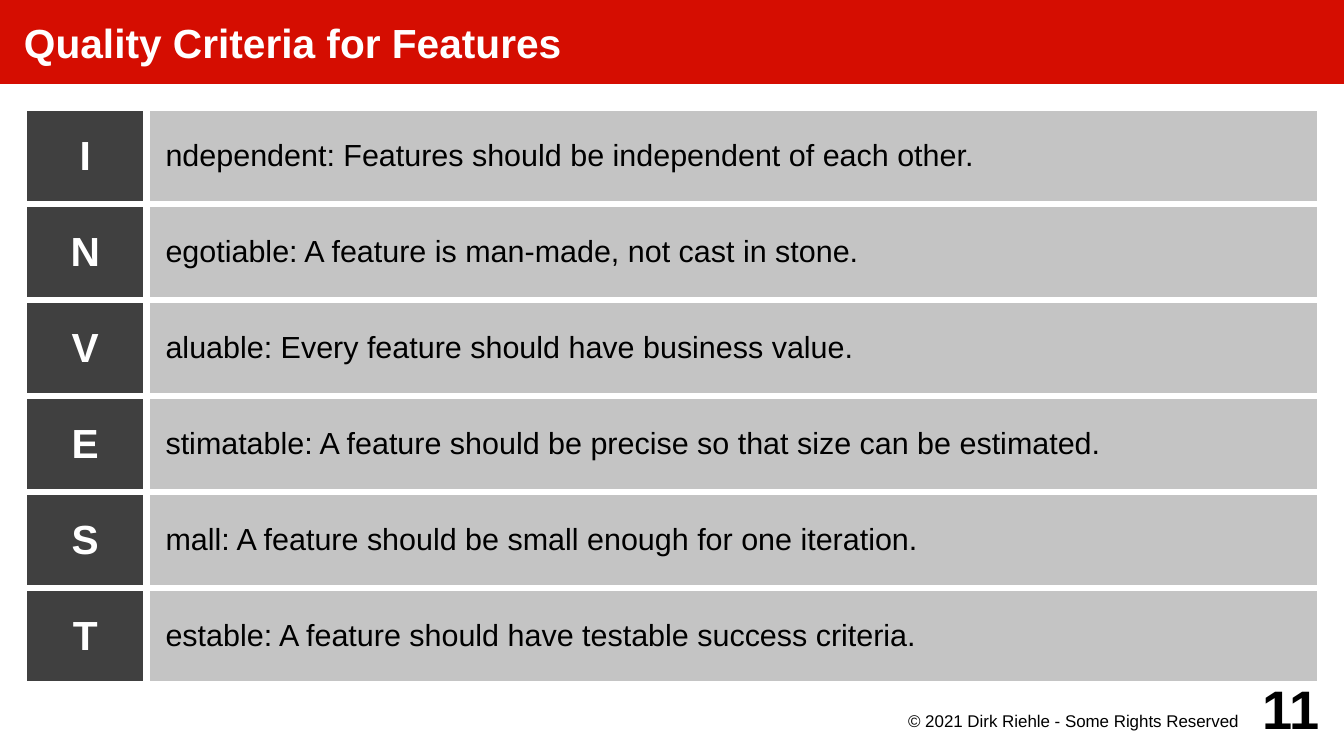
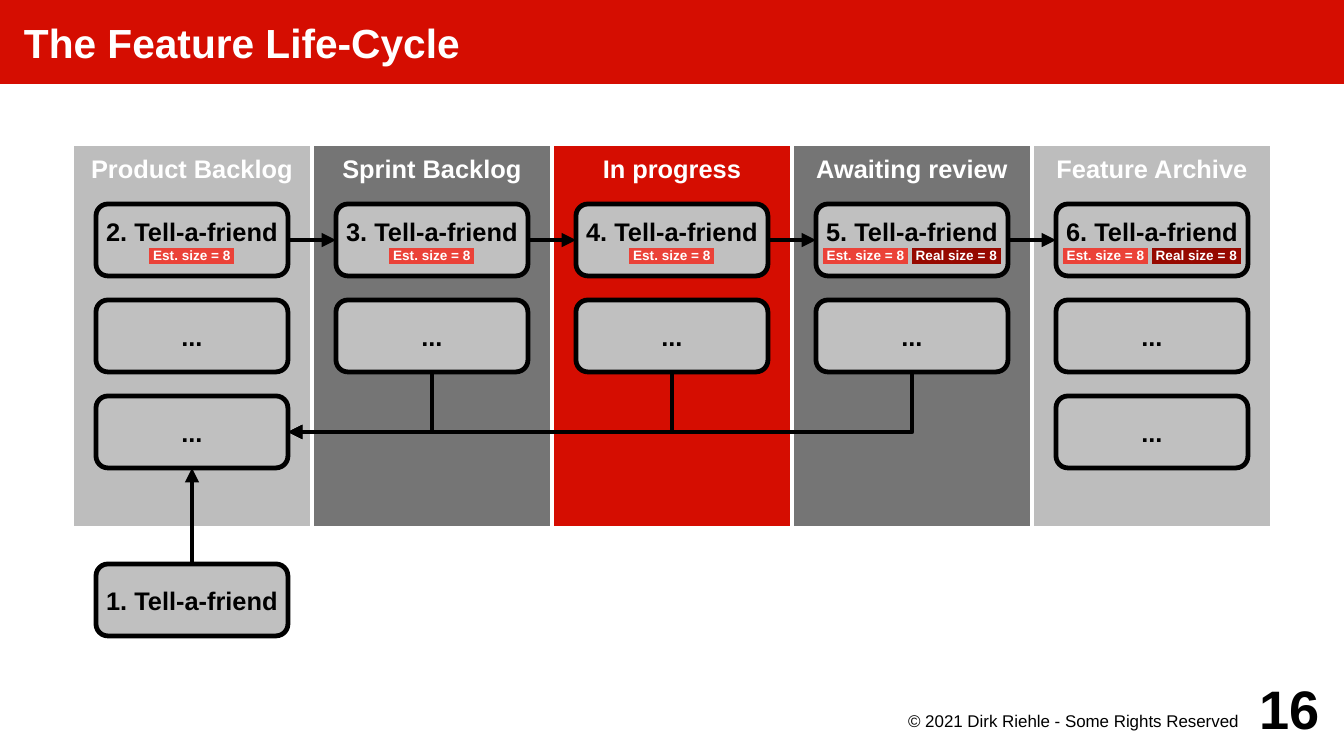
from lxml import etree
from pptx import Presentation
from pptx import util as u
from pptx.dml.color import RGBColor
from pptx.enum import shapes, text
from pptx.oxml.ns import qn

Cm, Pt = u.Cm, u.Pt
FONT = "Arial"
HUES = dict(red="D50D01", white="FFFFFF", black="000000", dark="404040",
            row="C4C4C4", light="BDBDBD", mid="757575", card="C0C0C0",
            est="EB4238", real="960900")
LEFT, MID, RIGHT = text.PP_ALIGN.LEFT, text.PP_ALIGN.CENTER, text.PP_ALIGN.RIGHT
TOP, CENTER = text.MSO_ANCHOR.TOP, text.MSO_ANCHOR.MIDDLE
SIZE = 28, 15.75

# Features of good quality: initial and remainder
RULES = [
    ("I", "ndependent: Features should be independent of each other."),
    ("N", "egotiable: A feature is man-made, not cast in stone."),
    ("V", "aluable: Every feature should have business value."),
    ("E", "stimatable: A feature should be precise so that size can be estimated."),
    ("S", "mall: A feature should be small enough for one iteration."),
    ("T", "estable: A feature should have testable success criteria."),
]

# Stages: name, fill, number of cards, badges on the first card
EST, REAL = (" Est. size = 8 ", "est"), (" Real size = 8 ", "real")
STAGES = [
    ("Product Backlog", "light", 3, [EST]),
    ("Sprint Backlog", "mid", 2, [EST]),
    ("In progress", "red", 2, [EST]),
    ("Awaiting review", "mid", 2, [EST, REAL]),
    ("Feature Archive", "light", 3, [EST, REAL]),
]
LANE_X, LANE_Y, LANE_W, LANE_H = 1.5, 3, 5, 8
CARD_W, CARD_H, CARD_Y, STEP = 4, 1.5, 4.25, 2


def rgb(hue):
    return RGBColor.from_string(HUES[hue])


def style(run, size, hue, bold=False):
    font = run.font
    font.name, font.size, font.bold = FONT, Pt(size), bold
    font.color.rgb = rgb(hue)


def mark(run, hue):
    """Highlight a run; the element must follow its fill."""
    light = etree.Element(qn("a:highlight"))
    etree.SubElement(light, qn("a:srgbClr")).set("val", HUES[hue])
    run.font._element.find(qn("a:solidFill")).addnext(light)


def write(frame, words, size, hue, bold=False, align=LEFT):
    frame.text = words
    para = frame.paragraphs[0]
    para.alignment = align
    style(para.runs[0], size, hue, bold)


def fit(frame, pads, anchor, wrap):
    frame.auto_size = text.MSO_AUTO_SIZE.NONE
    frame.word_wrap, frame.vertical_anchor = wrap, anchor
    (frame.margin_left, frame.margin_top,
     frame.margin_right, frame.margin_bottom) = [Cm(pad) for pad in pads]


def label(slide, box, words, size, bold, pads, anchor):
    frame = slide.shapes.add_textbox(*map(Cm, box)).text_frame
    fit(frame, pads, anchor, True)
    write(frame, words, size, "black", bold, RIGHT)


def start(deck, title, page):
    """Add a slide with its title band and footer."""
    slide = deck.slides.add_slide(deck.slide_layouts[5])
    band = slide.shapes.title
    band.left, band.top, band.width, band.height = 0, 0, Cm(SIZE[0]), Cm(1.75)
    band.fill.solid()
    band.fill.fore_color.rgb = rgb("red")
    fit(band.text_frame, (0.5, 0, 0, 0), CENTER, True)
    write(band.text_frame, title, 24, "white", True)
    label(slide, (18, 14.75, 8, 0.75),
          "© 2021 Dirk Riehle - Some Rights Reserved", 10, False,
          (0, 0.05, 0.2, 0), TOP)
    label(slide, (25.5, 14, 2, 1.5), page, 32, True, (0, 0, 0, 0), CENTER)
    return slide


def block(slide, kind, box, fill, edge, words, hue, anchor):
    shape = slide.shapes.add_shape(kind, *map(Cm, box))
    shape.shadow.inherit = False
    shape.fill.solid()
    shape.fill.fore_color.rgb = rgb(fill)
    shape.line.color.rgb = rgb(edge)
    shape.line.width = Pt(2.83)
    fit(shape.text_frame, [0.2] * 4, anchor, False)
    write(shape.text_frame, words, 15, hue, True, MID)
    return shape


def card(slide, left, top, words, badges=()):
    shape = block(slide, shapes.MSO_SHAPE.ROUNDED_RECTANGLE,
                  (left, top, CARD_W, CARD_H), "card", "black", words,
                  "black", CENTER)
    if badges:
        para = shape.text_frame.add_paragraph()
        para.alignment = MID
    for num, (words, hue) in enumerate(badges):
        if num:
            gap = para.add_run()
            gap.text = " "
            style(gap, 8, "white", True)
        run = para.add_run()
        run.text = words
        style(run, 8, "white", True)
        mark(run, hue)
    return shape


def link(slide, first, side, last, end, kind="line", tip="tailEnd"):
    """Join two cards; a bent link has one corner."""
    bent = kind != "line"
    form = shapes.MSO_CONNECTOR.ELBOW if bent else shapes.MSO_CONNECTOR.STRAIGHT
    line = slide.shapes.add_connector(form, 0, 0, 0, 0)
    line.begin_connect(first, side)
    line.end_connect(last, end)
    line.line.color.rgb = rgb("black")
    line.line.width = Pt(2.83)
    props = line._element.spPr
    props.find(qn("a:prstGeom")).set("prst", kind)
    etree.SubElement(props.find(qn("a:ln")), qn("a:" + tip)).set("type", "triangle")
    etree.SubElement(props, qn("a:effectLst"))


def rim(cell):
    """Give a cell white borders, placed ahead of its fill."""
    props = cell._tc.get_or_add_tcPr()
    for spot, side in enumerate(("lnL", "lnR", "lnT", "lnB")):
        line = etree.Element(qn("a:" + side), w=str(Pt(4.54)))
        fill = etree.SubElement(line, qn("a:solidFill"))
        etree.SubElement(fill, qn("a:srgbClr")).set("val", HUES["white"])
        props.insert(spot, line)


def paint(cell, fill, words, *look):
    cell.fill.solid()
    cell.fill.fore_color.rgb = rgb(fill)
    cell.vertical_anchor = CENTER
    cell.margin_left = cell.margin_right = Cm(0.2)
    cell.margin_top = cell.margin_bottom = Cm(0.13)
    rim(cell)
    write(cell.text_frame, words, *look)


def rules(deck):
    slide = start(deck, "Quality Criteria for Features", "11")
    grid = slide.shapes.add_table(len(RULES), 2, Cm(0.5), Cm(2.25),
                                  Cm(27), Cm(2 * len(RULES))).table
    grid.first_row = grid.horz_banding = False
    grid.columns[0].width, grid.columns[1].width = Cm(2.55), Cm(24.45)
    for num, (head, rest) in enumerate(RULES):
        paint(grid.cell(num, 0), "dark", head, 24, "white", True, MID)
        body = grid.cell(num, 1)
        paint(body, "row", rest, 18, "black")
        props = body.text_frame.paragraphs[0]._p.get_or_add_pPr()
        props.set("marL", str(Cm(0.2)))


def cycle(deck):
    slide = start(deck, "The Feature Life-Cycle", "16")
    inset = (LANE_W - CARD_W) / 2

    # Lanes with their cards
    lanes = []
    for num, (name, fill, count, badges) in enumerate(STAGES):
        left = LANE_X + num * LANE_W
        block(slide, shapes.MSO_SHAPE.RECTANGLE, (left, LANE_Y, LANE_W, LANE_H),
              fill, "white", name, "white", TOP)
        lane = [card(slide, left + inset, CARD_Y, f"{num + 2}. Tell-a-friend",
                     badges)]
        lane += [card(slide, left + inset, CARD_Y + row * STEP, "...")
                 for row in range(1, count)]
        lanes.append(lane)
    entry = card(slide, LANE_X + inset, 11.75, "1. Tell-a-friend")

    # Way forward, then ways back to the backlog
    back = lanes[0][-1]
    link(slide, entry, 0, back, 2)
    for here, there in zip(lanes, lanes[1:]):
        link(slide, here[0], 3, there[0], 1)
    for lane in lanes[1:-1]:
        link(slide, back, 3, lane[-1], 2, "bentConnector2", "headEnd")


def main():
    deck = Presentation()
    deck.slide_width, deck.slide_height = map(Cm, SIZE)
    rules(deck)
    cycle(deck)
    deck.save("out.pptx")


if __name__ == "__main__":
    main()
